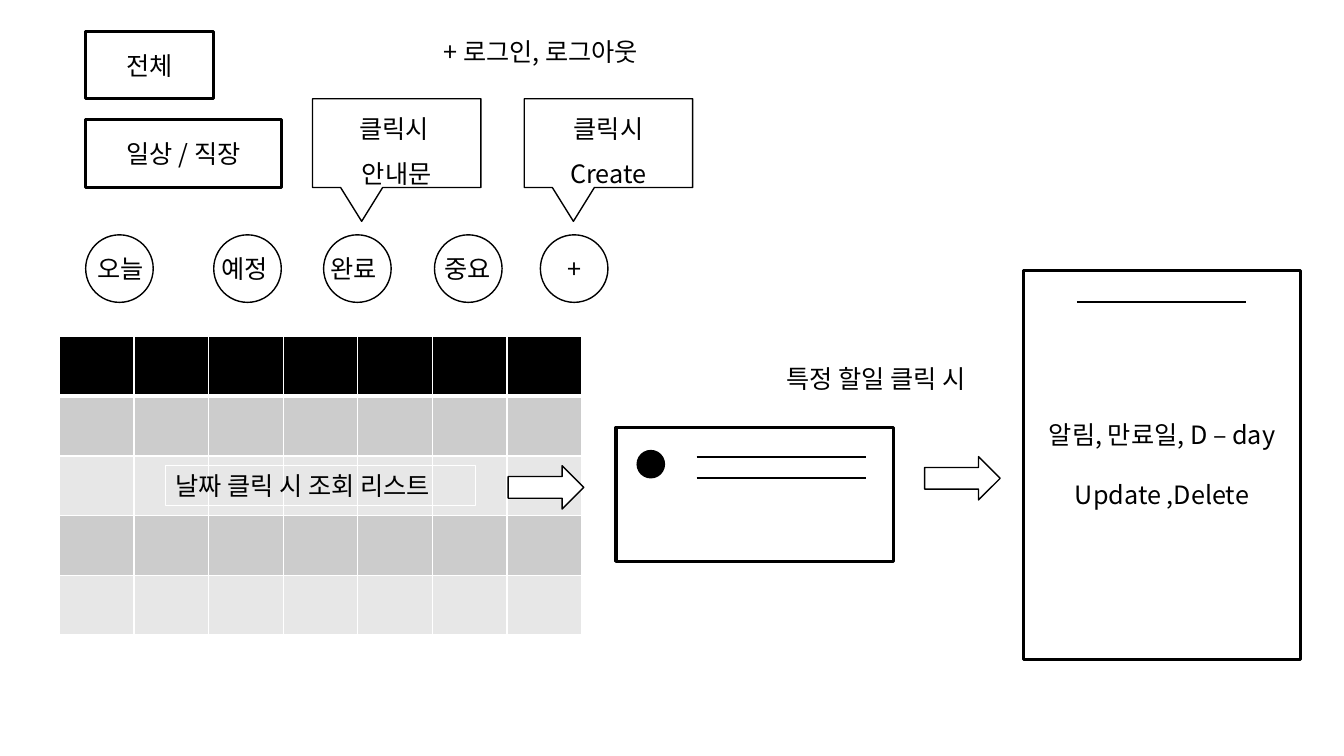
from dataclasses import dataclass

from lxml.etree import SubElement
from pptx import Presentation
from pptx.dml.color import RGBColor
from pptx.enum.shapes import MSO_CONNECTOR, MSO_SHAPE
from pptx.enum.text import MSO_ANCHOR, MSO_AUTO_SIZE, PP_ALIGN
from pptx.oxml import parse_xml
from pptx.oxml.ns import nsdecls, qn
from pptx.util import Inches, Pt


@dataclass(frozen=True)
class Theme:
    font: str = "Noto Sans CJK KR"
    text_size: float = 18
    ink: str = "000000"
    paper: str = "FFFFFF"
    band_dark: str = "CCCCCC"
    band_light: str = "E7E7E7"
    hairline: float = 0.75
    thin: float = 1
    medium: float = 1.5
    thick: float = 2.25
    header_rule: float = 3


class WireframeSlide:
    def __init__(self, slide, theme):
        self.shapes = slide.shapes
        self.theme = theme

    def set_text(self, text_frame, text, align=None, line_spacing=None, gap=None):
        """Fill a text frame; gap is the space in points before later paragraphs."""
        text_frame.text = text
        for index, paragraph in enumerate(text_frame.paragraphs):
            paragraph.alignment = align
            paragraph.line_spacing = line_spacing
            if gap and index:
                paragraph.space_before = Pt(gap)
            for run in paragraph.runs:
                run.font.name = self.theme.font
                run.font.size = Pt(self.theme.text_size)
                run.font.color.rgb = RGBColor.from_string(self.theme.ink)
                east_asian = SubElement(run.font._element, qn("a:ea"))
                east_asian.set("typeface", self.theme.font)

    def set_fitted_text(self, text_frame, text):
        """Put one unwrapped line in a frame that grows with it."""
        self.set_text(text_frame, text, PP_ALIGN.LEFT)
        text_frame.word_wrap = False
        text_frame.auto_size = MSO_AUTO_SIZE.SHAPE_TO_FIT_TEXT
        text_frame.vertical_anchor = MSO_ANCHOR.TOP

    def shape(self, kind, left, top, width, height, line_width, fill=None, text=None, **style):
        shape = self.shapes.add_shape(
            kind, Inches(left), Inches(top), Inches(width), Inches(height))
        shape.shadow.inherit = False
        shape.fill.solid()
        shape.fill.fore_color.rgb = RGBColor.from_string(fill or self.theme.paper)
        shape.line.color.rgb = RGBColor.from_string(self.theme.ink)
        shape.line.width = Pt(line_width)
        if text:
            shape.text_frame.vertical_anchor = MSO_ANCHOR.MIDDLE
            self.set_text(shape.text_frame, text, PP_ALIGN.CENTER, **style)
        return shape

    def box(self, left, top, width, height, text=None, **style):
        return self.shape(MSO_SHAPE.RECTANGLE, left, top, width, height,
                          self.theme.thick, text=text, **style)

    def circle(self, left, top, diameter, fill=None):
        return self.shape(MSO_SHAPE.OVAL, left, top, diameter, diameter, self.theme.thin, fill)

    def callout(self, left, top, text):
        callout = self.shape(MSO_SHAPE.RECTANGULAR_CALLOUT, left, top, 1.67, 0.88,
                             self.theme.thin, text=text, line_spacing=1.5)
        callout.adjustments[0] = -0.208
        callout.adjustments[1] = 0.882

    def right_arrow(self, left, top):
        arrow = self.shape(MSO_SHAPE.DOWN_ARROW, left, top, 0.43, 0.75, self.theme.thin)
        arrow.rotation = 270

    def outlined_label(self, left, top, width, height, text):
        label = self.shape(MSO_SHAPE.RECTANGLE, left, top, width, height, self.theme.hairline)
        label.fill.background()
        label.line.color.rgb = RGBColor.from_string(self.theme.paper)
        self.set_fitted_text(label.text_frame, text)

    def label(self, left, top, width, text):
        label = self.shapes.add_textbox(
            Inches(left), Inches(top), Inches(width), Inches(0.4))
        self.set_fitted_text(label.text_frame, text)

    def rule(self, left, top, width):
        rule = self.shapes.add_connector(
            MSO_CONNECTOR.STRAIGHT, Inches(left), Inches(top), Inches(left + width), Inches(top))
        rule.line.color.rgb = RGBColor.from_string(self.theme.ink)
        rule.line.width = Pt(self.theme.medium)
        SubElement(rule._element.spPr, qn("a:effectLst"))

    def border(self, cell, bottom_width):
        properties = cell._tc.get_or_add_tcPr()
        for index, side in enumerate(("lnL", "lnR", "lnT", "lnB")):
            width = Pt(bottom_width if side == "lnB" else self.theme.thin)
            properties.insert(index, parse_xml(
                f'<a:{side} {nsdecls("a")} w="{width}"><a:solidFill>'
                f'<a:srgbClr val="{self.theme.paper}"/></a:solidFill></a:{side}>'))

    def calendar(self, left, top, width, height, rows, columns):
        table = self.shapes.add_table(
            rows, columns, Inches(left), Inches(top), Inches(width), Inches(height)).table
        bands = (self.theme.band_light, self.theme.band_dark)
        for row_index in range(rows):
            is_header = row_index == 0
            fill = self.theme.ink if is_header else bands[row_index % 2]
            for column_index in range(columns):
                cell = table.cell(row_index, column_index)
                cell.fill.solid()
                cell.fill.fore_color.rgb = RGBColor.from_string(fill)
                self.border(cell, self.theme.header_rule if is_header else self.theme.thin)


def main():
    presentation = Presentation()
    presentation.slide_width = Inches(13.33)
    presentation.slide_height = Inches(7.5)
    theme = Theme()
    wireframe = WireframeSlide(
        presentation.slides.add_slide(presentation.slide_layouts[6]), theme)

    wireframe.box(0.85, 0.31, 1.27, 0.67, "전체")
    wireframe.box(0.85, 1.19, 1.94, 0.67, "일상 / 직장")
    wireframe.label(4.3, 0.31, 2.47, "+ 로그인, 로그아웃")

    filters = (
        (0.85, 0.87, 0.71, "오늘"),
        (2.12, 2.1, 0.71, "예정"),
        (3.21, 3.18, 0.71, "완료"),
        (4.31, 4.31, 0.71, "중요"),
        (5.36, 5.53, 0.38, "+"),
    )
    for circle_left, label_left, label_width, name in filters:
        wireframe.circle(circle_left, 2.33, 0.67)
        wireframe.label(label_left, 2.46, label_width, name)

    wireframe.callout(3.1, 0.98, "클릭시 \n안내문")
    wireframe.callout(5.2, 0.98, "클릭시\nCreate")

    wireframe.calendar(0.59, 3.34, 5.18, 2.96, rows=5, columns=7)
    wireframe.right_arrow(5.2, 4.46)
    wireframe.outlined_label(1.64, 4.62, 3.08, 0.4, "날짜 클릭 시 조회 리스트")

    wireframe.box(6.11, 4.24, 2.75, 1.33)
    wireframe.circle(6.32, 4.47, 0.27, theme.ink)
    for rule_top in (4.53, 4.74):
        wireframe.rule(6.91, rule_top, 1.68)
    wireframe.right_arrow(9.33, 4.37)
    wireframe.label(7.7, 3.56, 2.24, "특정 할일 클릭 시")

    wireframe.box(10.15, 2.68, 2.75, 3.86, "알림, 만료일, D – day\nUpdate ,Delete", gap=21.5)
    wireframe.rule(10.68, 3, 1.68)

    presentation.save("out.pptx")


if __name__ == "__main__":
    main()
